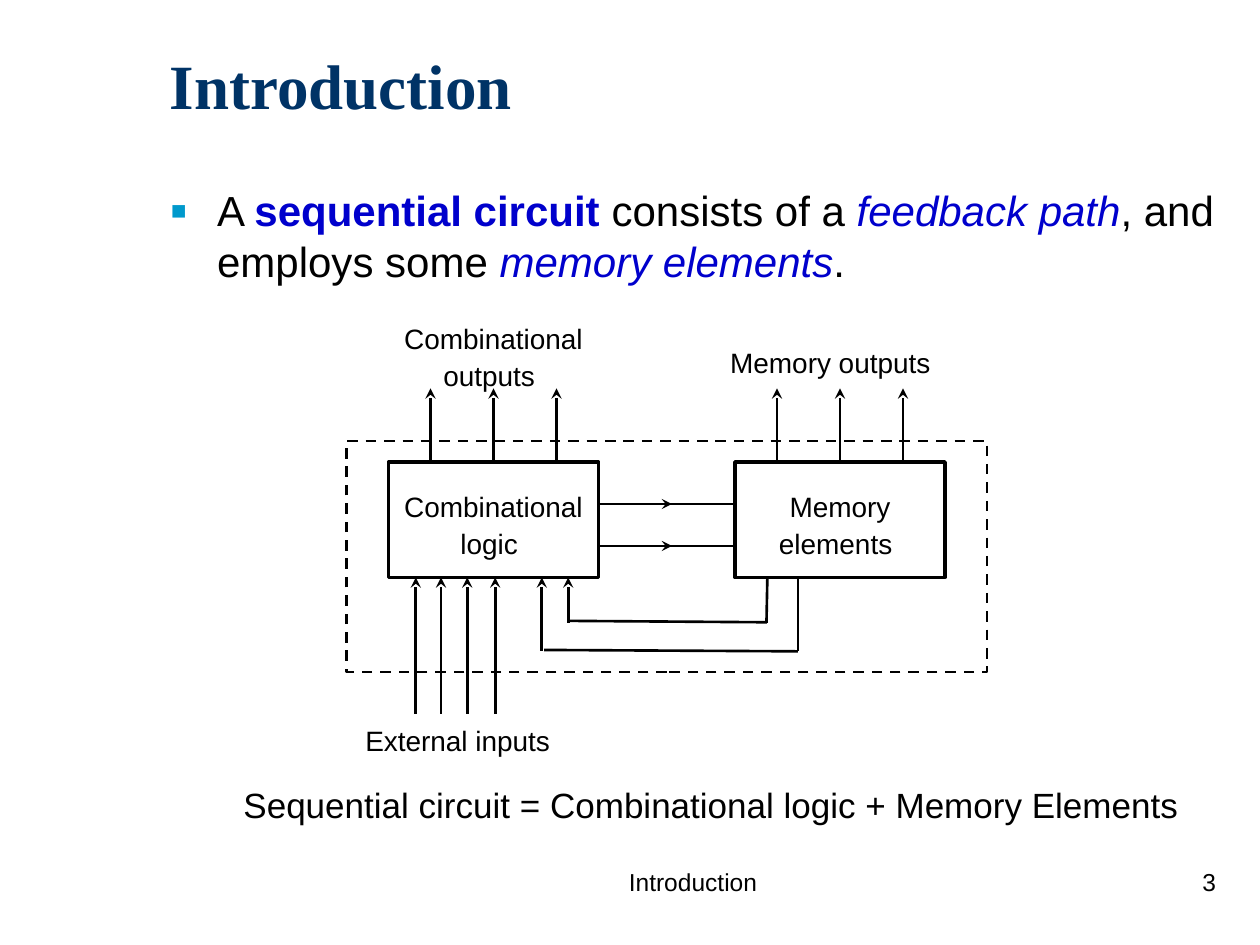
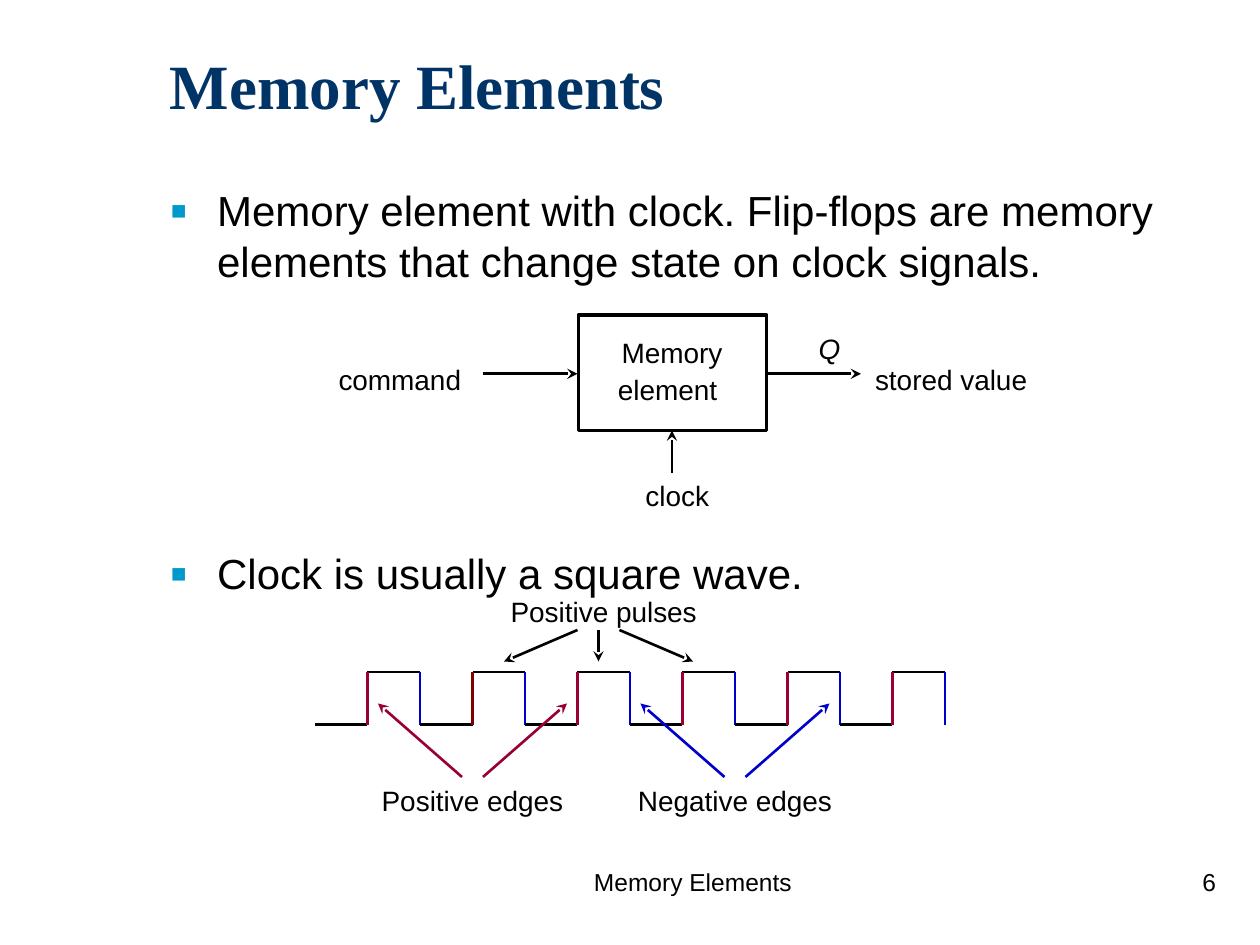
from dataclasses import dataclass

from lxml.etree import SubElement
from pptx import Presentation
from pptx.dml.color import RGBColor
from pptx.enum.dml import MSO_LINE
from pptx.enum.shapes import MSO_CONNECTOR, MSO_SHAPE
from pptx.enum.text import MSO_ANCHOR, PP_ALIGN
from pptx.oxml.ns import qn
from pptx.util import Pt


@dataclass(frozen=True)
class Theme:
    black: str = "000000"
    navy: str = "003366"
    cyan: str = "0099CC"
    blue: str = "0000CC"
    crimson: str = "990033"
    maroon: str = "800000"
    sans: str = "Arial"
    serif: str = "Times New Roman"
    title_size: int = 36
    body_size: int = 24
    formula_size: int = 20
    label_size: int = 16
    space_size: int = 18
    footer_size: int = 14
    thin: float = 1.5
    thick: float = 2


def apply(target, formats):
    for attribute, value in formats.items():
        setattr(target, attribute, value)


class Deck:
    def __init__(self, theme):
        self.theme = theme
        self.presentation = Presentation()
        apply(self.presentation, {"slide_width": Pt(720), "slide_height": Pt(540)})
        self.slide = None

    def start_slide(self, title, number):
        theme = self.theme
        self.slide = self.presentation.slides.add_slide(self.presentation.slide_layouts[6])
        self.text((282, 492, 228, 36), title, theme.footer_size, PP_ALIGN.CENTER)
        self.text((552, 492, 150, 36), str(number), theme.footer_size, PP_ALIGN.RIGHT)
        heading = self.text((90, 18, 612, 60), title, theme.title_size,
                            bold=True, name=theme.serif, color=theme.navy)
        heading.vertical_anchor = MSO_ANCHOR.MIDDLE

    def frame(self, box):
        frame = self.slide.shapes.add_textbox(*map(Pt, box)).text_frame
        frame.word_wrap = True
        return frame

    def run(self, paragraph, text, size, color=None, **formats):
        run = paragraph.add_run()
        run.text = text
        apply(run.font, {"size": Pt(size), "name": self.theme.sans, **formats})
        run.font.color.rgb = RGBColor.from_string(color or self.theme.black)

    def text(self, box, text, size, alignment=PP_ALIGN.LEFT, **formats):
        frame = self.frame(box)
        frame.paragraphs[0].alignment = alignment
        self.run(frame.paragraphs[0], text, size, **formats)
        return frame

    def label(self, box, text, spaced=False, **formats):
        frame = self.text(box, text, self.theme.label_size, PP_ALIGN.CENTER, **formats)
        if spaced:
            self.run(frame.paragraphs[0], " ", self.theme.space_size)

    def bullets(self, box, items):
        frame = self.frame(box)
        for index, (space_before, pieces) in enumerate(items):
            paragraph = frame.add_paragraph() if index else frame.paragraphs[0]
            paragraph.space_before = Pt(space_before)
            properties = paragraph._p.get_or_add_pPr()
            properties.set("marL", str(Pt(27)))
            properties.set("indent", str(-Pt(27)))
            bullet_color = SubElement(properties, qn("a:buClr"))
            SubElement(bullet_color, qn("a:srgbClr"), val=self.theme.cyan)
            SubElement(properties, qn("a:buSzPct"), val="120000")
            SubElement(properties, qn("a:buFont"), typeface=self.theme.sans)
            SubElement(properties, qn("a:buChar"), char="▪")
            for text, formats in pieces:
                self.run(paragraph, text, self.theme.body_size, **formats)

    def outline(self, box, width, dash=None):
        block = self.slide.shapes.add_shape(MSO_SHAPE.RECTANGLE, *map(Pt, box))
        block.shadow.inherit = False
        block.fill.background()
        block.line.color.rgb = RGBColor.from_string(self.theme.black)
        apply(block.line, {"width": Pt(width), "dash_style": dash})

    def line(self, start, end, color=None, arrow=False):
        wire = self.slide.shapes.add_connector(MSO_CONNECTOR.STRAIGHT, *map(Pt, start + end))
        wire.line.color.rgb = RGBColor.from_string(color or self.theme.black)
        wire.line.width = Pt(self.theme.thin)
        if arrow:
            SubElement(wire.get_or_add_ln(), qn("a:tailEnd"), type="stealth")
        SubElement(wire.element.spPr, qn("a:effectLst"))

    def arrow(self, start, end, color=None):
        self.line(start, end, color, arrow=True)


def build_introduction(deck):
    theme = deck.theme
    deck.start_slide("Introduction", 3)
    term = {"color": theme.blue, "bold": True}
    emphasis = {"color": theme.blue, "italic": True}
    deck.bullets((90, 102, 612, 66), [(6, [
        ("A ", {}), ("sequential circuit", term), (" consists of a ", {}),
        ("feedback path", emphasis), (", and employs some ", {}),
        ("memory elements", emphasis), (".", {}),
    ])])

    for left, name in ((222, "Combinational logic"), (420, "Memory elements")):
        deck.outline((left, 264, 120, 66), theme.thick)
        deck.label((left, 276, 120, 48), name, spaced=True)
        for output in range(3):
            x = left + 24 + 36 * output
            deck.arrow((x, 264), (x, 222))
    for y in (288, 312):
        deck.arrow((342, y), (384, y))
        deck.line((378, y), (420, y))

    for x in (237.6, 252, 267, 283):
        deck.arrow((x, 408), (x, 330))
    for x, bottom in ((309.6, 372), (324.7, 356)):
        deck.arrow((x, bottom), (x, 330))
    deck.line((325.4, 354.8), (438.2, 355.6))
    deck.line((311, 371.4), (456, 372.2))
    deck.line((438.5, 330), (438, 356))
    deck.line((456, 330), (456, 372))

    deck.label((222, 180, 120, 48), "Combinational outputs", spaced=True)
    deck.label((408, 192, 138, 29), "Memory outputs", spaced=True)
    deck.label((198, 408, 132, 29), "External inputs", spaced=True)
    deck.outline((198, 252, 366, 132), theme.thin, MSO_LINE.DASH)
    deck.text((132, 444, 552, 30),
              "Sequential circuit = Combinational logic + Memory Elements", theme.formula_size)


def build_memory_elements(deck):
    theme = deck.theme
    deck.start_slide("Memory Elements", 6)
    deck.bullets((90, 102, 606, 258), [
        (6, [("Memory element with clock. Flip-flops are memory elements "
              "that change state on clock signals.", {})]),
        (150, [("Clock is usually a square wave.", {})]),
    ])

    deck.outline((330.5, 180, 107.5, 66), theme.thick)
    deck.label((336, 188, 96, 48), "Memory element", spaced=True)
    deck.label((180, 201.6, 102, 29), "command", spaced=True)
    deck.label((492, 201.6, 108, 29), "stored value", spaced=True)
    deck.label((456, 186, 36, 26.4), "Q", italic=True)
    deck.label((360, 270, 54, 26.4), "clock ")
    deck.arrow((276, 213.6), (330, 213.6))
    deck.arrow((438, 213.6), (492, 213.6))
    deck.arrow((384, 270), (384, 246))

    high, low, half = 384, 414, 30
    for cycle in range(6):
        start = 180 + 2 * half * cycle
        rise, fall = start + half, start + 2 * half
        deck.line((start, low), (rise, low))
        deck.line((rise, high), (fall, high))
        deck.line((rise, high), (rise, low), theme.maroon if cycle == 1 else theme.crimson)
        deck.line((fall, high), (fall, low), theme.blue)

    for x, pulse in ((330, 288), (342, 342), (354, 396)):
        deck.arrow((x, 360), (pulse, 378))
    for x, edge, color in ((264, 216, theme.crimson), (276, 324, theme.crimson),
                           (414, 366, theme.blue), (426, 474, theme.blue)):
        deck.arrow((x, 444), (edge, 402), color)
    deck.label((282, 336, 126, 26.4), "Positive pulses")
    deck.label((210, 444, 120, 26.4), "Positive edges")
    deck.label((354, 444, 132, 26.4), "Negative edges")


def main():
    deck = Deck(Theme())
    build_introduction(deck)
    build_memory_elements(deck)
    deck.presentation.save("out.pptx")


if __name__ == "__main__":
    main()
